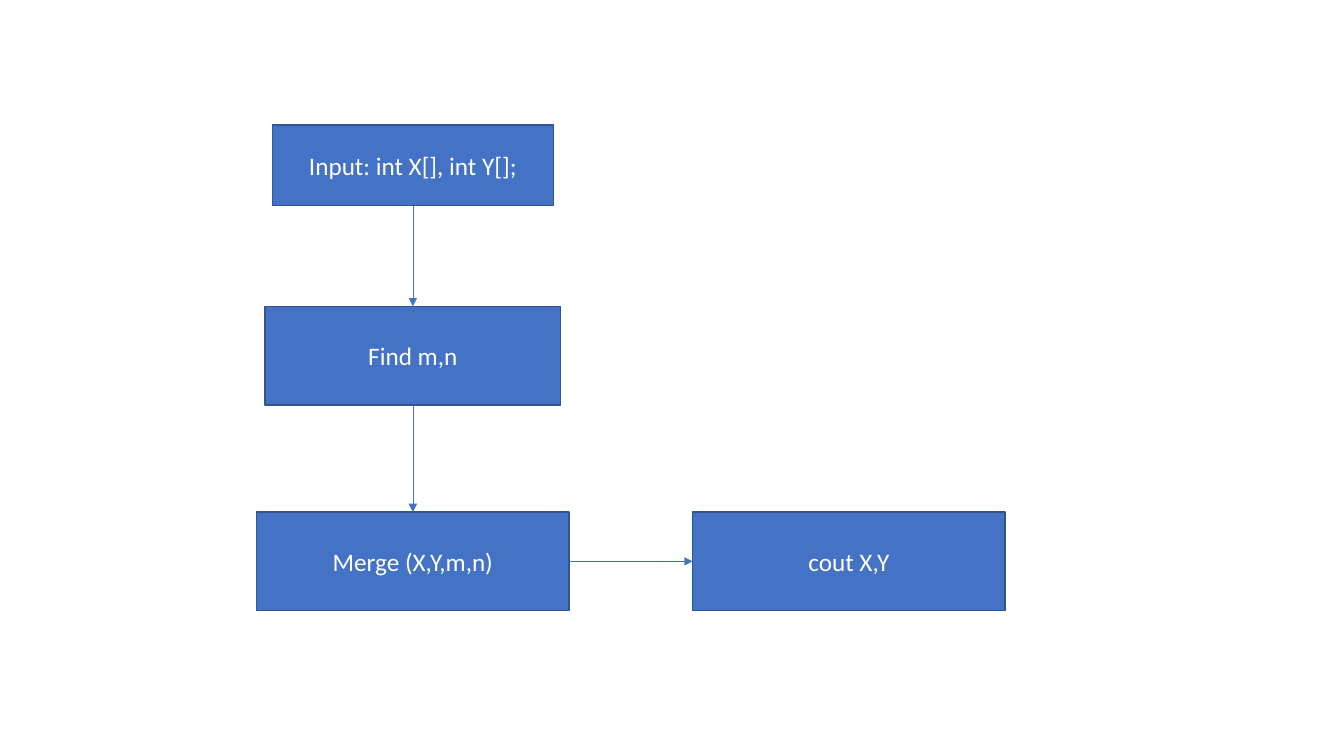
from lxml.etree import SubElement
from pptx import Presentation
from pptx.dml.color import RGBColor
from pptx.enum.shapes import MSO_CONNECTOR, MSO_SHAPE
from pptx.enum.text import MSO_ANCHOR, PP_ALIGN
from pptx.oxml.ns import qn
from pptx.util import Inches, Pt

TOP, LEFT, BOTTOM, RIGHT = range(4)


def colour(value):
    return RGBColor.from_string(value)


class Flowchart:
    cell = Inches(0.1)
    font = "Calibri"
    font_size = Pt(18)
    fill = "4472C4"
    outline = "325491"
    text_colour = "FFFFFF"

    def __init__(self, slide):
        self.slide = slide

    def cells(self, *counts):
        return [round(count * self.cell) for count in counts]

    def step(self, text, centre, top, width, height):
        bounds = self.cells(centre - width / 2, top, width, height)
        shape = self.slide.shapes.add_shape(MSO_SHAPE.RECTANGLE, *bounds)
        shape.shadow.inherit = False
        shape.fill.solid()
        shape.fill.fore_color.rgb = colour(self.fill)
        shape.line.color.rgb = colour(self.outline)
        shape.line.width = Pt(1)
        frame = shape.text_frame
        frame.word_wrap = True
        frame.vertical_anchor = MSO_ANCHOR.MIDDLE
        paragraph = frame.paragraphs[0]
        paragraph.text = text
        paragraph.alignment = PP_ALIGN.CENTER
        paragraph.font.name = self.font
        paragraph.font.size = self.font_size
        paragraph.font.color.rgb = colour(self.text_colour)
        return shape

    def arrow(self, source, source_side, target, target_side):
        connector = self.slide.shapes.add_connector(MSO_CONNECTOR.STRAIGHT, 0, 0, 0, 0)
        connector.begin_connect(source, source_side)
        connector.end_connect(target, target_side)
        connector.line.color.rgb = colour(self.fill)
        connector.line.width = Pt(0.5)
        properties = connector.line._get_or_add_ln()
        SubElement(properties, qn("a:tailEnd"), type="triangle")
        SubElement(properties.getparent(), qn("a:effectLst"))


def main():
    presentation = Presentation()
    presentation.slide_width = Inches(13.33)
    presentation.slide_height = Inches(7.5)
    slide = presentation.slides.add_slide(presentation.slide_layouts[6])
    chart = Flowchart(slide)

    main_column, output_column = 40.95, 84.2
    last_row = 50.8
    read_input = chart.step("Input: int X[], int Y[];", main_column, 12.4, 27.9, 8)
    find = chart.step("Find m,n", main_column, 30.4, 29.3, 9.8)
    merge = chart.step("Merge (X,Y,m,n)", main_column, last_row, 31, 9.8)
    output = chart.step("cout X,Y", output_column, last_row, 31, 9.8)

    chart.arrow(read_input, BOTTOM, find, TOP)
    chart.arrow(find, BOTTOM, merge, TOP)
    chart.arrow(merge, RIGHT, output, LEFT)

    presentation.save("out.pptx")


if __name__ == "__main__":
    main()
